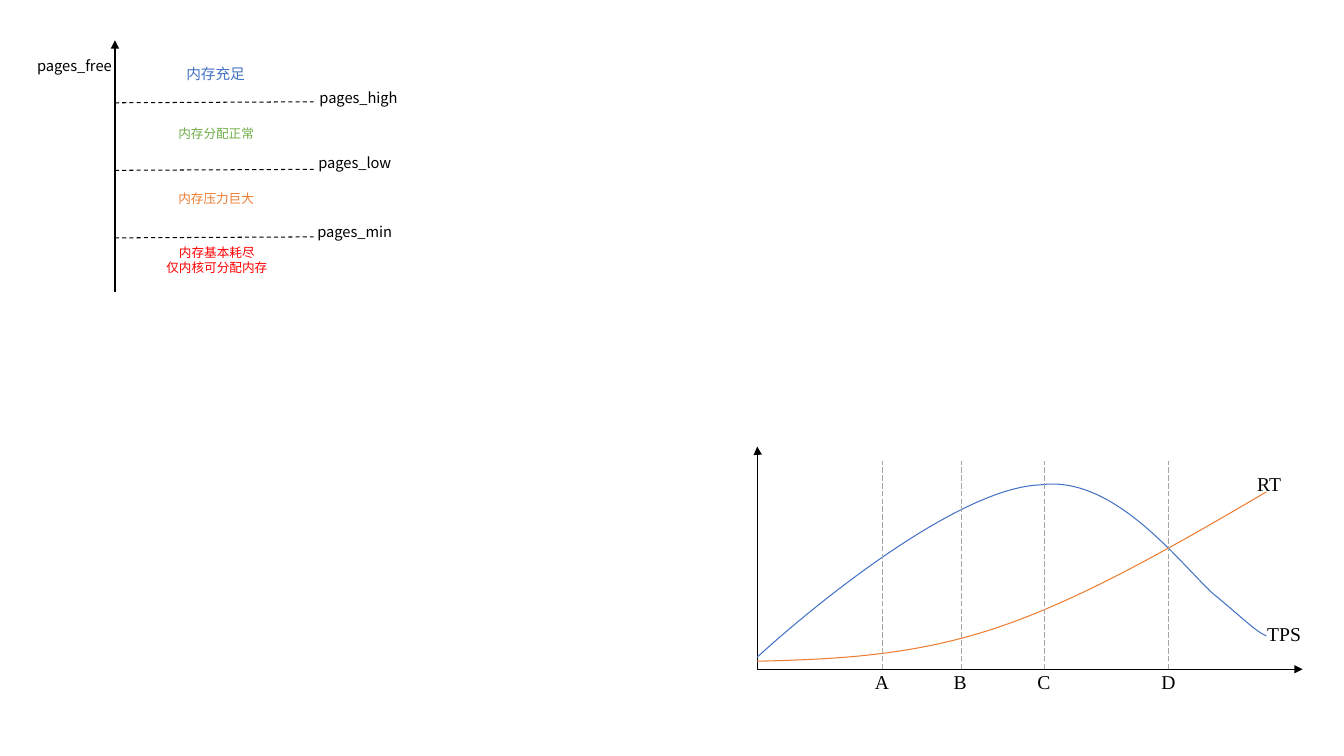
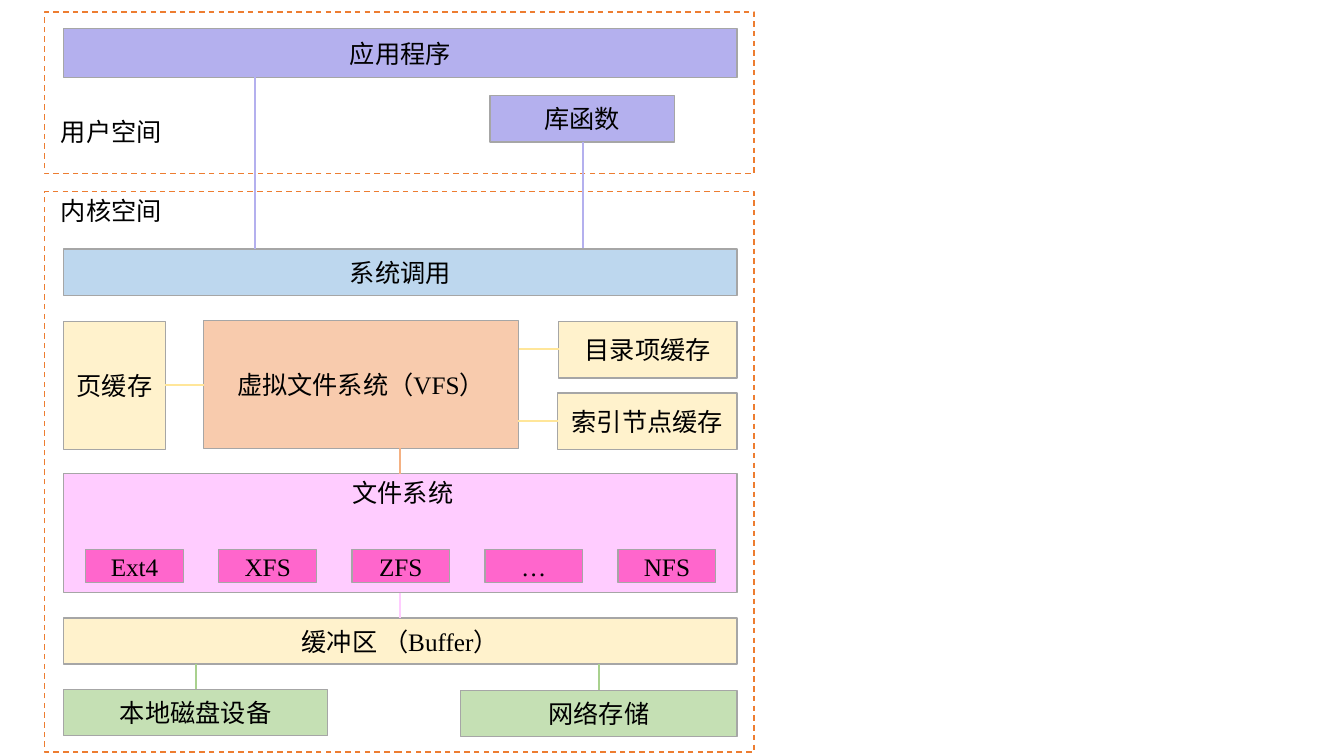
import dataclasses
from typing import Optional

import lxml.etree
import pptx
import pptx.dml.color
import pptx.enum.dml
import pptx.enum.shapes
import pptx.enum.text
import pptx.oxml.ns
import pptx.util

Inches = pptx.util.Inches
Align = pptx.enum.text.PP_ALIGN
Anchor = pptx.enum.text.MSO_ANCHOR
Dash = pptx.enum.dml.MSO_LINE_DASH_STYLE
Connector = pptx.enum.shapes.MSO_CONNECTOR
Point = tuple[float, float]

CJK_FONT = "Noto Sans CJK SC"
LATIN_FONT = "Times New Roman"
BLACK, RED, BLUE, GREEN, ORANGE = "000000", "FF0000", "4472C4", "70AD47", "ED7D31"
GUIDE_GRAY, BORDER_GRAY = "A5A5A5", "A6A6A6"
PURPLE, SKY, CREAM, PEACH = "B4B0EE", "BDD7EE", "FFF2CC", "F8CBAD"
PINK, HOT_PINK, MINT = "FFCCFF", "FF66CC", "C5E0B4"
CACHE_LINK, VFS_LINK, DEVICE_LINK = "FFE699", "F4B183", "A9D18E"


@dataclasses.dataclass(frozen=True)
class Label:
    text: str
    left: float
    top: float
    width: float
    height: float = 0.31
    size: float = 10.5
    color: str = BLACK


@dataclasses.dataclass(frozen=True)
class Box:
    text: str
    left: float
    top: float
    width: float
    height: float
    fill: Optional[str] = None
    border: str = BORDER_GRAY
    dash: Optional[Dash] = None


@dataclasses.dataclass(frozen=True)
class Link:
    start: Point
    end: Point
    color: str


def rgb(color: str) -> pptx.dml.color.RGBColor:
    return pptx.dml.color.RGBColor.from_string(color)


def add_element(parent, tag: str, **attributes: str):
    element = lxml.etree.SubElement(parent, pptx.oxml.ns.qn(tag))
    for name, value in attributes.items():
        element.set(name, value)
    return element


def style_line(shape, color: str, width: float, dash: Optional[Dash] = None) -> None:
    shape.line.color.rgb = rgb(color)
    shape.line.width = pptx.util.Pt(width)
    if dash is not None:
        shape.line.dash_style = dash


def write_text(shape, text: str, *, size: float = 18, font: str = LATIN_FONT,
               color: str = BLACK, align: Align = Align.CENTER,
               anchor: Anchor = Anchor.MIDDLE, wrap: bool = True) -> None:
    frame = shape.text_frame
    frame.word_wrap = wrap
    frame.vertical_anchor = anchor
    frame.text = text
    for paragraph in frame.paragraphs:
        paragraph.alignment = align
        for run in paragraph.runs:
            run.font.size = pptx.util.Pt(size)
            run.font.name = font
            run.font.color.rgb = rgb(color)
            add_element(run.font._element, "a:ea", typeface=CJK_FONT)


def add_text(slide, left: float, top: float, width: float, height: float,
             text: str, **text_format):
    shape = slide.shapes.add_textbox(
        Inches(left), Inches(top), Inches(width), Inches(height))
    write_text(shape, text, **text_format)
    return shape


def add_line(slide, start: Point, end: Point, color: str = BLACK, width: float = 1,
             dash: Optional[Dash] = None, kind: Connector = Connector.STRAIGHT,
             arrows: tuple[str, ...] = ()):
    connector = slide.shapes.add_connector(
        kind, *(Inches(value) for value in (*start, *end)))
    style_line(connector, color, width, dash)
    properties = connector._element.spPr
    outline = properties.find(pptx.oxml.ns.qn("a:ln"))
    for arrow in arrows:
        add_element(outline, arrow, type="triangle")
    add_element(properties, "a:effectLst")
    return connector


def add_box(slide, box: Box) -> None:
    shape = slide.shapes.add_shape(
        pptx.enum.shapes.MSO_SHAPE.RECTANGLE, Inches(box.left), Inches(box.top),
        Inches(box.width), Inches(box.height))
    shape.shadow.inherit = False
    if box.fill is None:
        shape.fill.background()
    else:
        shape.fill.solid()
        shape.fill.fore_color.rgb = rgb(box.fill)
    style_line(shape, box.border, 1, box.dash)
    if box.text:
        write_text(shape, box.text)


def add_curve(slide, points: list[Point], color: str) -> None:
    places = [(Inches(x), Inches(y)) for x, y in points]
    builder = slide.shapes.build_freeform(*places[0])
    builder.add_line_segments(places[3::3], close=False)
    shape = builder.convert_to_shape()
    shape.shadow.inherit = False
    shape.fill.background()
    style_line(shape, color, 0.75)
    outline = next(shape._element.iter(pptx.oxml.ns.qn("a:path")))
    for segment in outline.findall(pptx.oxml.ns.qn("a:lnTo")):
        outline.remove(segment)
    for first in range(1, len(places), 3):
        segment = add_element(outline, "a:cubicBezTo")
        for x, y in places[first:first + 3]:
            add_element(segment, "a:pt", x=str(x - shape.left), y=str(y - shape.top))


def draw_memory_levels(slide) -> None:
    axis_x = 1.14
    add_line(slide, (axis_x, 2.9), (axis_x, 0.4), arrows=("a:tailEnd",))
    for level in (1.02, 1.69, 2.36):
        add_line(slide, (axis_x, level), (3.11, level - 0.01), width=0.75, dash=Dash.DASH)
    labels = (
        Label("pages_free", 0.27, 0.51, 0.88),
        Label("pages_high", 3.07, 0.83, 0.92),
        Label("pages_low", 3.06, 1.48, 0.86),
        Label("pages_min", 3.05, 2.16, 0.88),
        Label("内存充足", 1.75, 0.59, 0.79, color=BLUE),
        Label("内存分配正常", 1.67, 1.2, 0.96, size=9, color=GREEN),
        Label("内存压力巨大", 1.67, 1.84, 0.96, size=9, color=ORANGE),
    )
    for label in labels:
        shape = add_text(slide, label.left, label.top, label.width, label.height,
                         label.text, size=label.size, font=CJK_FONT, color=label.color,
                         align=Align.JUSTIFY, anchor=Anchor.TOP, wrap=False)
        shape.text_frame.margin_right = Inches(0)
    add_text(slide, 1.45, 2.38, 1.4, 0.54, "内存基本耗尽\n仅内核可分配内存",
             size=9, font=CJK_FONT, color=RED, anchor=Anchor.TOP)


def draw_load_curves(slide) -> None:
    axes = add_line(slide, (7.51, 4.43), (12.92, 6.64), kind=Connector.ELBOW,
                    arrows=("a:headEnd", "a:tailEnd"))
    geometry = axes._element.spPr.find(pptx.oxml.ns.qn("a:prstGeom"))
    for adjustments in geometry.findall(pptx.oxml.ns.qn("a:avLst")):
        geometry.remove(adjustments)
    add_element(add_element(geometry, "a:avLst"), "a:gd", name="adj1", fmla="val 100")

    throughput = [(7.51, 6.52), (8.01, 6.06), (9.48, 4.84), (10.32, 4.81),
                  (11.04, 4.71), (11.68, 5.56), (12.02, 5.88),
                  (12.37, 6.17), (12.45, 6.26), (12.56, 6.31)]
    response_time = [(7.51, 6.56), (8.28, 6.54), (9.04, 6.51), (9.88, 6.23),
                     (10.72, 5.95), (11.64, 5.42), (12.56, 4.88)]
    add_curve(slide, throughput, BLUE)
    add_curve(slide, response_time, ORANGE)
    labels = [Label("TPS", 12.47, 6.12, 0.54), Label("RT", 12.37, 4.63, 0.44)]
    for name, x in (("A", 8.75), ("B", 9.53), ("C", 10.36), ("D", 11.59)):
        add_line(slide, (x, 6.64), (x, 4.57), GUIDE_GRAY, 0.5, Dash.LONG_DASH)
        labels.append(Label(name, x - 0.17, 6.6, 0.34))
    for label in labels:
        shape = add_text(slide, label.left, label.top, label.width, 0.34, label.text,
                         size=14, align=Align.LEFT, anchor=Anchor.TOP, wrap=False)
        shape.text_frame.auto_size = pptx.enum.text.MSO_AUTO_SIZE.SHAPE_TO_FIT_TEXT


def draw_storage_stack(slide) -> None:
    left, width, bar_height = 0.63, 6.68, 0.46
    boxes = [
        Box("本地磁盘设备", left, 6.84, 2.62, bar_height, MINT),
        Box("网络存储", 4.57, 6.85, 2.74, bar_height, MINT),
        Box("缓冲区 （Buffer）", left, 6.13, width, bar_height, CREAM),
        Box("", left, 4.7, width, 1.18, PINK),
        Box("虚拟文件系统（VFS）", 2.02, 3.18, 3.12, 1.27, PEACH),
        Box("系统调用", left, 2.47, width, bar_height, SKY),
        Box("应用程序", left, 0.28, width, 0.49, PURPLE),
        Box("库函数", 4.86, 0.95, 1.83, bar_height, PURPLE),
        Box("页缓存", left, 3.19, 1.01, 1.27, CREAM),
        Box("目录项缓存", 5.54, 3.19, 1.77, 0.56, CREAM),
        Box("索引节点缓存", 5.53, 3.9, 1.78, 0.56, CREAM),
    ]
    for column, name in enumerate(("Ext4", "XFS", "ZFS", "…", "NFS")):
        boxes.append(Box(name, 0.85 + 1.32 * column, 5.45, 0.97, 0.33, HOT_PINK))
    for top, height in ((1.9, 5.56), (0.12, 1.6)):
        boxes.append(Box("", 0.44, top, 7.04, height, border=ORANGE, dash=Dash.DASH))
    for box in boxes:
        add_box(slide, box)

    add_text(slide, 3.14, 4.72, 1.71, 0.33, "文件系统")
    for text, top in (("内核空间", 1.93), ("用户空间", 1.14)):
        add_text(slide, 0.44, top, 1.33, 0.32, text)

    links = (
        Link((2.53, 0.76), (2.53, 2.47), PURPLE),
        Link((5.78, 1.41), (5.78, 2.46), PURPLE),
        Link((2.02, 3.82), (1.64, 3.82), CACHE_LINK),
        Link((5.54, 3.46), (5.15, 3.46), CACHE_LINK),
        Link((5.53, 4.18), (5.14, 4.18), CACHE_LINK),
        Link((3.97, 4.7), (3.97, 4.44), VFS_LINK),
        Link((3.97, 5.88), (3.97, 6.13), PINK),
        Link((1.94, 6.84), (1.94, 6.59), DEVICE_LINK),
        Link((5.94, 6.85), (5.94, 6.59), DEVICE_LINK),
    )
    for link in links:
        add_line(slide, link.start, link.end, link.color, 1.5)


def main() -> None:
    presentation = pptx.Presentation()
    presentation.slide_width = Inches(13.33)
    presentation.slide_height = Inches(7.5)
    blank = presentation.slide_layouts[6]
    charts_slide = presentation.slides.add_slide(blank)
    draw_memory_levels(charts_slide)
    draw_load_curves(charts_slide)
    draw_storage_stack(presentation.slides.add_slide(blank))
    presentation.save("out.pptx")


if __name__ == "__main__":
    main()
